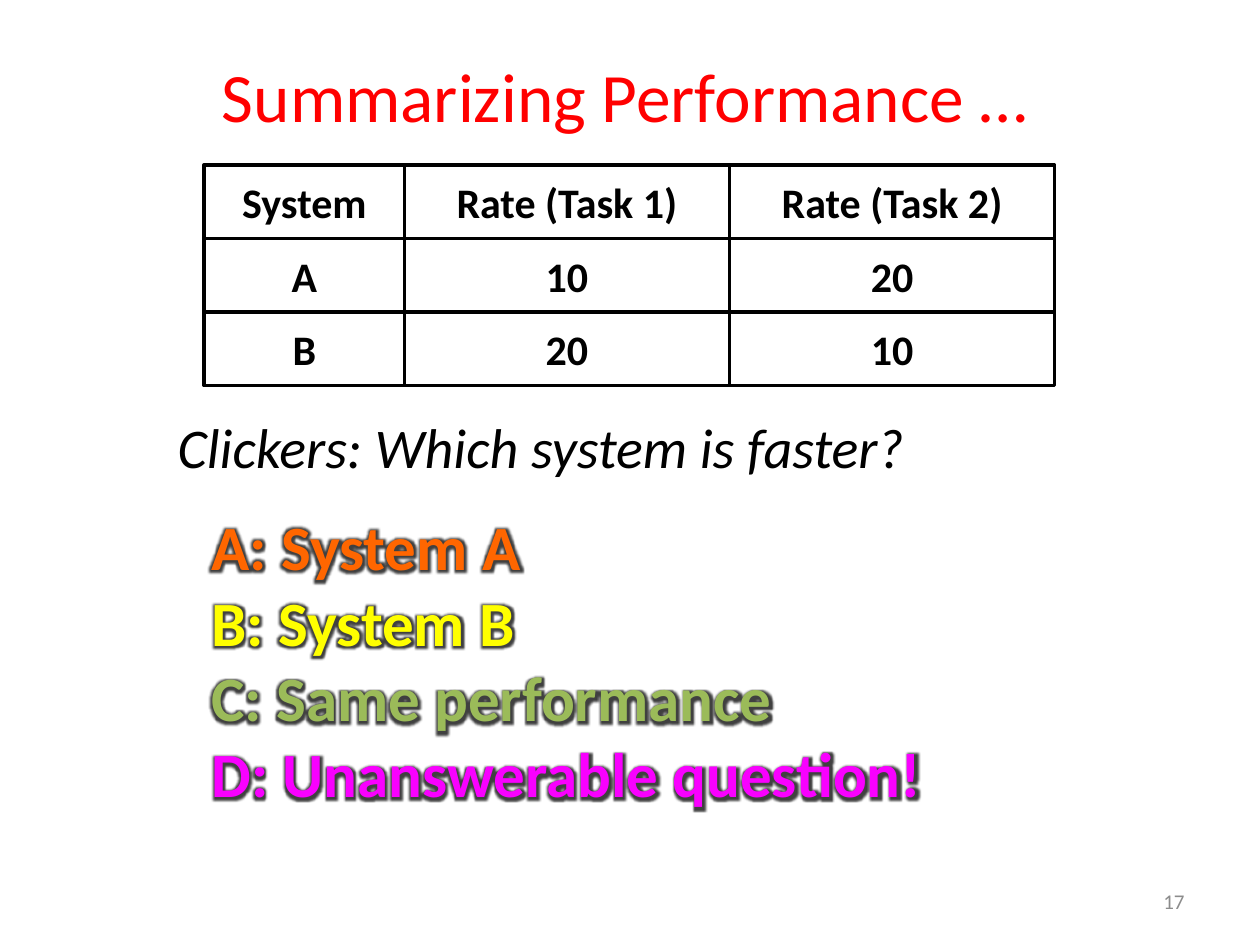
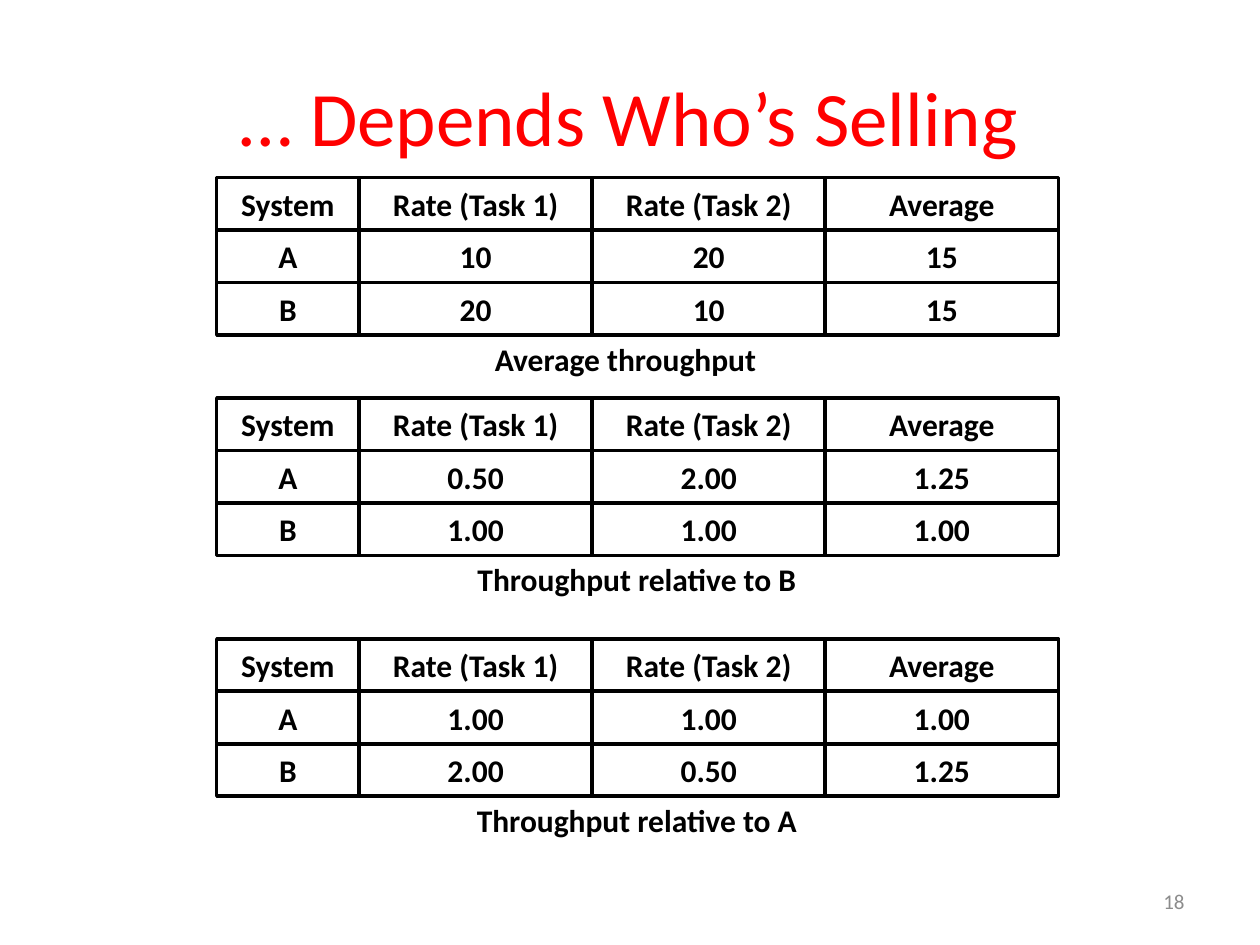
from lxml.etree import fromstring
from pptx import Presentation
from pptx.dml.color import RGBColor
from pptx.enum.shapes import MSO_SHAPE
from pptx.enum.text import MSO_ANCHOR, MSO_AUTO_SIZE, PP_ALIGN
from pptx.oxml.ns import nsdecls, qn
from pptx.util import Inches, Pt

# Content
HEAD = ["System", "Rate (Task 1)", "Rate (Task 2)"]
RATES = [HEAD, ["A", "10", "20"], ["B", "20", "10"]]
ASK = "Clickers: Which system is faster?"
VOTES = [("A: System A", "orange"), ("B: System B", "yellow"),
         ("C: Same performance", "green"),
         ("D: Unanswerable question!", "pink")]
# caption, caption left, grid top, rows
CLAIMS = [
    ("Average throughput", 3.3, 1.41,
     [["A", "10", "20", "15"], ["B", "20", "10", "15"]]),
    ("Throughput relative to B", 3.39, 3.16,
     [["A", "0.50", "2.00", "1.25"], ["B", "1.00", "1.00", "1.00"]]),
    ("Throughput relative to A", 3.39, 5.07,
     [["A", "1.00", "1.00", "1.00"], ["B", "2.00", "0.50", "1.25"]]),
]

# Shared style
FONT = "Calibri"
INK = {"title": "FF0000", "text": "000000", "page": "8C8C8C",
       "glow": "404040", "orange": "FF6600", "yellow": "FFFF00",
       "green": "9BBB59", "pink": "F900FF"}
WIDE, HIGH = 10, 7.5
RULE = 2  # cell line width, points
GLOW = 7  # glow radius, points

deck = Presentation()
deck.slide_width, deck.slide_height = Inches(WIDE), Inches(HIGH)


def tint(name):
    return RGBColor.from_string(INK[name])


def style(para, size, ink="text", align=None, bold=False, italic=False):
    font = para.font
    font.name, font.size, font.bold, font.italic = FONT, Pt(size), bold, italic
    font.color.rgb = tint(ink)
    para.alignment = align


def place(shape, left, top, width, height):
    shape.left, shape.top = Inches(left), Inches(top)
    shape.width, shape.height = Inches(width), Inches(height)


def label(slide, text, box, size, ink="text", align=None, bold=False):
    frame = slide.shapes.add_textbox(*map(Inches, box)).text_frame
    frame.word_wrap = True
    frame.vertical_anchor = MSO_ANCHOR.MIDDLE
    frame.text = text
    style(frame.paragraphs[0], size, ink, align, bold)
    return frame


def start(layout, title, box, size, page):
    """Add a slide with its title and page number."""
    slide = deck.slides.add_slide(deck.slide_layouts[layout])
    head = slide.shapes.title
    place(head, *box)
    head.text_frame.text = title
    head.text_frame.vertical_anchor = MSO_ANCHOR.MIDDLE
    style(head.text_frame.paragraphs[0], size, "title", PP_ALIGN.CENTER)
    label(slide, str(page), (7.17, 6.95, 2.33, 0.4), 12, "page",
          PP_ALIGN.RIGHT)
    return slide


def grid(slide, rows, left, top, widths, tall, size, pad):
    """Add a group of ruled boxes, one for each value."""
    group = slide.shapes.add_group_shape()
    for r, row in enumerate(rows):
        for c, text in enumerate(row):
            box = (left + sum(widths[:c]), top + r * tall, widths[c], tall)
            cell = group.shapes.add_shape(MSO_SHAPE.RECTANGLE,
                                          *map(Inches, box))
            cell.shadow.inherit = False
            cell.fill.background()
            cell.line.color.rgb = tint("text")
            cell.line.width = Pt(RULE)
            frame = cell.text_frame
            frame.word_wrap = True
            frame.vertical_anchor = MSO_ANCHOR.MIDDLE
            frame.margin_left = frame.margin_right = Inches(pad)
            frame.margin_top = frame.margin_bottom = Inches(0.02)
            frame.text = text
            style(frame.paragraphs[0], size, "text", PP_ALIGN.CENTER,
                  bold=True)


def glow(run, ink):
    """Colour the letters and put a dark soft edge round them."""
    run.font.color.rgb = tint(ink)
    run._r.get_or_add_rPr().append(fromstring(
        f'<a:effectLst {nsdecls("a")}><a:glow rad="{Pt(GLOW)}">'
        f'<a:srgbClr val="{INK["glow"]}"/></a:glow></a:effectLst>'))


# Slide 17: the question
quiz = start(1, "Summarizing Performance …", (1.17, 0.42, 7.58, 0.67),
             39.6, 17)
body = quiz.placeholders[1]
place(body, 1.31, 3.22, 6.18, 0.64)
body.text_frame.text = ASK
body.text_frame.word_wrap = False
body.text_frame.auto_size = MSO_AUTO_SIZE.SHAPE_TO_FIT_TEXT
line = body.text_frame.paragraphs[0]
style(line, 32, italic=True)
props = line._p.get_or_add_pPr()
props.insert(0, props.makeelement(qn("a:buNone"), {}))
grid(quiz, RATES, 1.62, 1.31, [1.59, 2.58, 2.58], 1.75 / 3, 24, 0.04)

# Answers to vote on
frame = label(quiz, "", (1.58, 3.98, 6.99, 2.52), 36)
frame.vertical_anchor = MSO_ANCHOR.TOP
for i, (text, ink) in enumerate(VOTES):
    para = frame.add_paragraph() if i else frame.paragraphs[0]
    run = para.add_run()
    run.text = text
    style(para, 36, ink, bold=True)
    glow(run, ink)

# Slide 18: three ways to average
sell = start(5, "… Depends Who’s Selling", (1.08, 0.5, 7.83, 0.83), 44, 18)
TALL = 1.25 / 3
for text, left, top, rows in CLAIMS:
    grid(sell, [HEAD + ["Average"]] + rows, 1.72, top,
         [1.13] + [1.85] * 3, TALL, 18, 0.03)
    label(sell, text, (left, top + 3 * TALL, 3.33, 0.37), 18, "text",
          PP_ALIGN.CENTER, bold=True)

deck.save("out.pptx")
